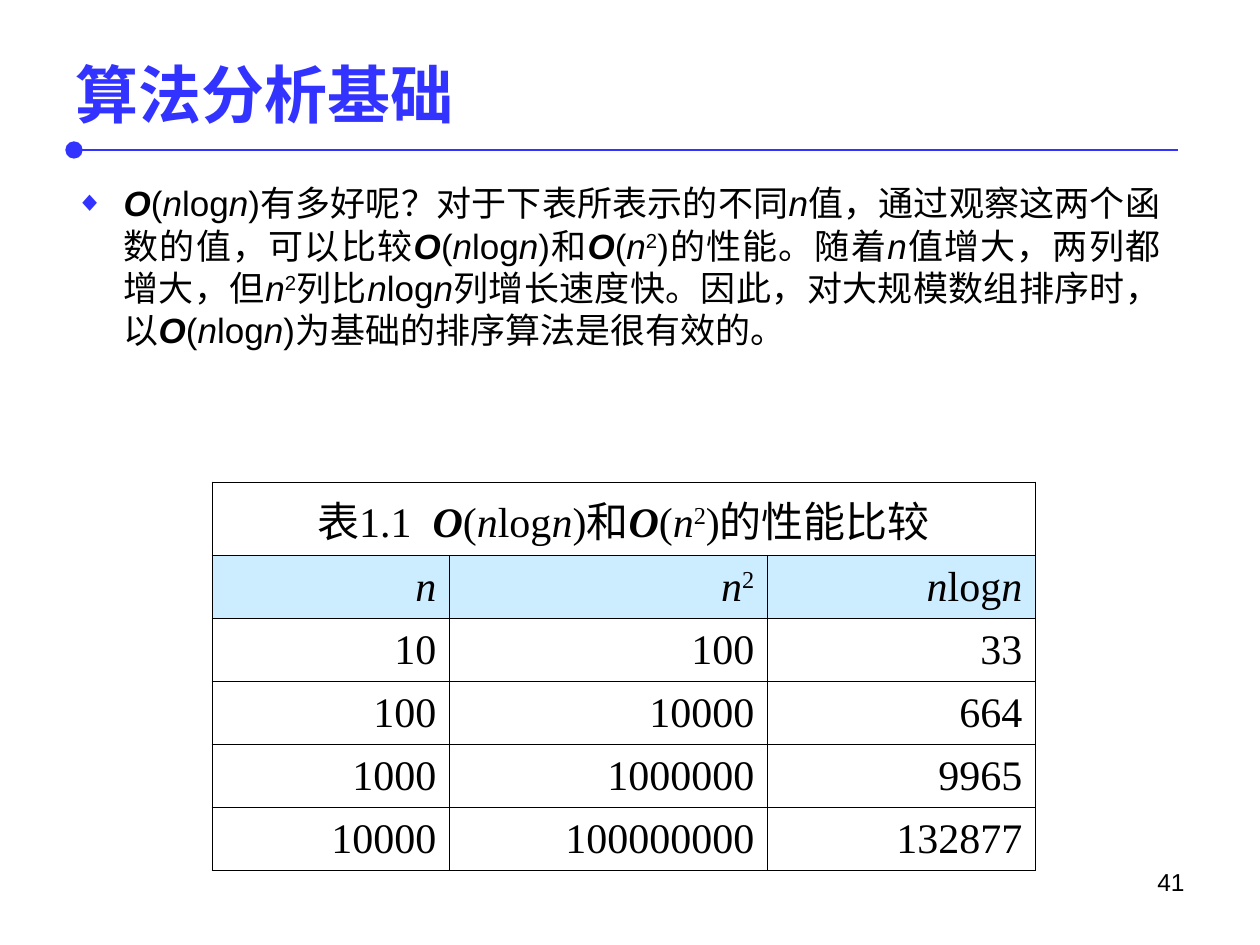
from itertools import groupby

from lxml import etree
from pptx import Presentation
from pptx.dml.color import RGBColor
from pptx.enum.shapes import MSO_CONNECTOR
from pptx.enum.text import MSO_ANCHOR, MSO_AUTO_SIZE, PP_ALIGN
from pptx.oxml.ns import qn
from pptx.util import Pt

LEFT, RIGHT, CENTER = PP_ALIGN.LEFT, PP_ALIGN.RIGHT, PP_ALIGN.CENTER
JUSTIFY, MIDDLE, TOP = PP_ALIGN.JUSTIFY, MSO_ANCHOR.MIDDLE, MSO_ANCHOR.TOP
STRAIGHT, NO_FIT = MSO_CONNECTOR.STRAIGHT, MSO_AUTO_SIZE.NONE

BLUE = RGBColor(0x33, 0x33, 0xFF)
PALE = RGBColor(0xCC, 0xEC, 0xFF)
WHITE = RGBColor(0xFF, 0xFF, 0xFF)
BLACK = RGBColor(0, 0, 0)
PX = 914400 // 126


def px(*lengths):
    return [n * PX for n in lengths]


def write(tf, text, size, font="Arial", color=BLACK, bold=False, align=LEFT, anchor=TOP):
    """Set the text: O is bold italic, n is italic, ² is a raised 2."""
    tf.word_wrap = True
    tf.vertical_anchor = anchor
    p = tf.paragraphs[0]
    p.alignment = align
    for kind, chars in groupby(text, lambda c: c if c in "On²" else ""):
        r = p.add_run()
        r.text = "".join(chars).replace("²", "2")
        f = r.font
        f.size, f.name, f.color.rgb = Pt(size), font, color
        f.bold = bold or kind == "O"
        f.italic = kind in ("O", "n")
        if kind == "²":
            r._r.get_or_add_rPr().set("baseline", "30000")
    return p


prs = Presentation()
prs.slide_width, prs.slide_height = px(1260, 945)
s = prs.slides.add_slide(prs.slide_layouts[1])
title, body = s.placeholders

# Title and the rule under it
title.left, title.top, title.width, title.height = px(63, 38, 1134, 111)
title.text_frame.auto_size = NO_FIT
write(title.text_frame, "算法分析基础", 36, color=BLUE, bold=True, anchor=MIDDLE)

rule = s.shapes.add_connector(STRAIGHT, *px(74, 150, 1178, 150))
rule.line.color.rgb = BLUE
rule.line.width = Pt(1.5)
etree.SubElement(rule.line._get_or_add_ln(), qn("a:headEnd"), type="oval", w="lg", len="lg")
etree.SubElement(rule._element.spPr, qn("a:effectLst"))

# Bulleted paragraph
body.left, body.top, body.width, body.height = px(63, 175, 1110, 307)
body.text_frame.auto_size = NO_FIT
p = write(
    body.text_frame,
    "O(nlogn)有多好呢？对于下表所表示的不同n值，通过观察这两个函数的值，"
    "可以比较O(nlogn)和O(n²)的性能。随着n值增大，两列都增大，但n²列比nlogn列增长速度快。"
    "因此，对大规模数组排序时，以O(nlogn)为基础的排序算法是很有效的。",
    20, align=JUSTIFY)
p.space_before = Pt(5)
p.line_spacing = Pt(24.2)
pPr = p._p.get_or_add_pPr()
pPr.set("marL", str(48 * PX))
pPr.set("indent", str(-48 * PX))
bullet_color = etree.SubElement(pPr, qn("a:buClr"))
etree.SubElement(bullet_color, qn("a:srgbClr"), val=str(BLUE))
etree.SubElement(pPr, qn("a:buSzPct"), val="80000")
etree.SubElement(pPr, qn("a:buChar"), char="◆")

# Comparison table
rows = [
    ("表1.1  O(nlogn)和O(n²)的性能比较", "", ""),
    ("n", "n²", "nlogn"),
    ("10", "100", "33"),
    ("100", "10000", "664"),
    ("1000", "1000000", "9965"),
    ("10000", "100000000", "132877"),
]
table = s.shapes.add_table(len(rows), 3, *px(212, 482, 823, 378)).table
table.first_row = table.horz_banding = False
for col, width in zip(table.columns, px(237, 318, 268)):
    col.width = width
for row in table.rows:
    row.height = 63 * PX
table.cell(0, 0).merge(table.cell(0, 2))
for i, values in enumerate(rows):
    for j, value in enumerate(values):
        cell = table.cell(i, j)
        tcPr = cell._tc.get_or_add_tcPr()
        for side in ("lnL", "lnR", "lnT", "lnB"):
            ln = etree.SubElement(tcPr, qn("a:" + side), w=str(Pt(0.45)))
            fill = etree.SubElement(ln, qn("a:solidFill"))
            etree.SubElement(fill, qn("a:srgbClr"), val=str(BLACK))
        cell.fill.solid()
        cell.fill.fore_color.rgb = PALE if i == 1 else WHITE
        cell.vertical_anchor = MIDDLE
        if value:
            write(cell.text_frame, value, 24, font="Times New Roman",
                  align=CENTER if i == 0 else RIGHT, anchor=MIDDLE)

# Page number
number = s.shapes.add_textbox(*px(903, 861, 294, 66))
write(number.text_frame, "41", 14, align=RIGHT)

prs.save("out.pptx")
